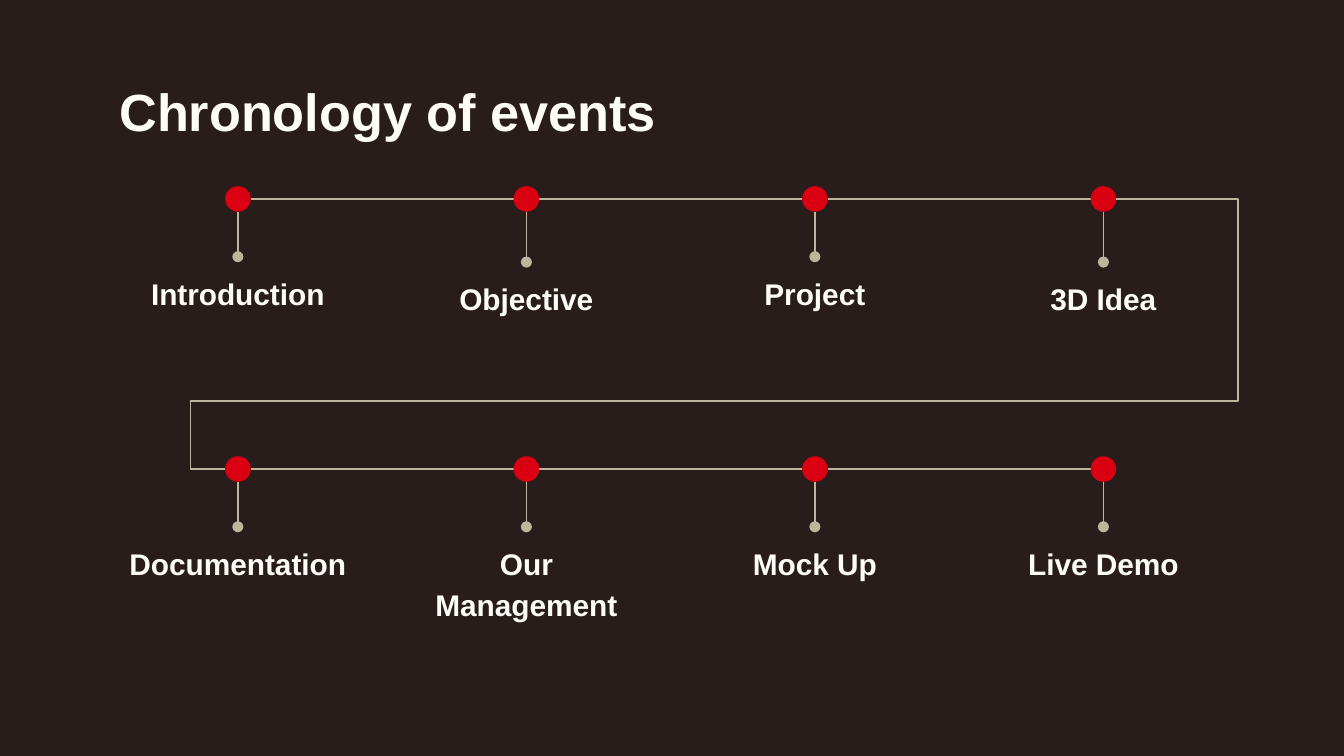
from dataclasses import dataclass

from lxml import etree
from pptx import Presentation
from pptx.dml.color import RGBColor
from pptx.enum.shapes import MSO_CONNECTOR, MSO_SHAPE
from pptx.enum.text import PP_ALIGN
from pptx.oxml.ns import qn
from pptx.util import Inches, Pt

STRAIGHT, ELBOW = MSO_CONNECTOR.STRAIGHT, MSO_CONNECTOR.ELBOW
OVAL = MSO_SHAPE.OVAL
LEFT, CENTER = PP_ALIGN.LEFT, PP_ALIGN.CENTER


@dataclass(frozen=True)
class Theme:
    background: RGBColor = RGBColor(0x28, 0x1D, 0x1B)
    text: RGBColor = RGBColor(0xFE, 0xFC, 0xF6)
    line: RGBColor = RGBColor(0xBD, 0xB6, 0x9D)
    dot: RGBColor = RGBColor(0xDB, 0x00, 0x11)
    font: str = "Arial"
    title_size: Pt = Pt(28)
    label_size: Pt = Pt(16)
    line_width: Pt = Pt(0.75)


THEME = Theme()
FIRST_X, LAST_X = 1.77, 8.21
STEP_X = (LAST_X - FIRST_X) / 3
DOT = 0.19
RADIUS = DOT / 2
LABEL_W, LABEL_H = 1.98, 0.98

# Each row: centre line, then (label, top of label)
ROWS = [
    (1.48, [("Introduction", 1.91), ("Objective", 1.95),
            ("Project", 1.91), ("3D Idea", 1.95)]),
    (3.49, [("Documentation", 3.92), ("Our Management", 3.92),
            ("Mock Up", 3.92), ("Live Demo", 3.92)]),
]


def add_text(s, text, x, y, w, h, size, align=LEFT, spacing=1.0):
    box = s.shapes.add_textbox(Inches(x), Inches(y), Inches(w), Inches(h))
    tf = box.text_frame
    tf.word_wrap = True
    tf.margin_left = tf.margin_right = Inches(0.1)
    tf.margin_top = tf.margin_bottom = Inches(0.1)
    p = tf.paragraphs[0]
    p.alignment, p.line_spacing = align, spacing
    r = p.add_run()
    r.text = text
    r.font.name, r.font.size, r.font.bold = THEME.font, size, True
    r.font.color.rgb = THEME.text


def add_line(s, x1, y1, x2, y2, kind=STRAIGHT, oval_end=False):
    line = s.shapes.add_connector(kind, Inches(x1), Inches(y1),
                                  Inches(x2), Inches(y2))
    line.line.color.rgb = THEME.line
    line.line.width = THEME.line_width
    sp_pr = line._element.spPr
    if oval_end:
        etree.SubElement(sp_pr.find(qn("a:ln")), qn("a:tailEnd"),
                         type="oval", w="med", len="med")
    etree.SubElement(sp_pr, qn("a:effectLst"))
    return line


def add_row_link(s, x1, y1, x2, y2):
    """Five-part bent line from the end of one row to the start of the next."""
    link = add_line(s, x1, y1, x2, y2, ELBOW)
    geom = link._element.spPr.find(qn("a:prstGeom"))
    geom.set("prst", "bentConnector5")
    guides = geom.find(qn("a:avLst"))
    for i, value in enumerate((-13700, 74900, 103900), start=1):
        etree.SubElement(guides, qn("a:gd"), name=f"adj{i}", fmla=f"val {value}")


def add_dot(s, x, y):
    dot = s.shapes.add_shape(OVAL, Inches(x - RADIUS), Inches(y - RADIUS),
                             Inches(DOT), Inches(DOT))
    dot.shadow.inherit = False
    dot.fill.solid()
    dot.fill.fore_color.rgb = THEME.dot
    dot.line.fill.background()


def add_row(s, y, events):
    for i, (label, top) in enumerate(events):
        x = FIRST_X + i * STEP_X
        add_text(s, label, x - LABEL_W / 2, top, LABEL_W, LABEL_H,
                 THEME.label_size, CENTER, 1.15)
        if i < len(events) - 1:
            add_line(s, x + RADIUS, y, x + STEP_X - RADIUS, y)
        add_line(s, x, y + RADIUS, x, top, oval_end=True)
        add_dot(s, x, y)


def main():
    prs = Presentation()
    prs.slide_width = Inches(10)
    prs.slide_height = prs.slide_width * 9 // 16
    s = prs.slides.add_slide(prs.slide_layouts[6])
    s.background.fill.solid()
    s.background.fill.fore_color.rgb = THEME.background

    add_text(s, "Chronology of events", 0.79, 0.49, 8.43, 0.63, THEME.title_size)
    for y, events in ROWS:
        add_row(s, y, events)
    add_row_link(s, LAST_X + RADIUS, ROWS[0][0], FIRST_X - RADIUS, ROWS[1][0])

    prs.save("out.pptx")


if __name__ == "__main__":
    main()
